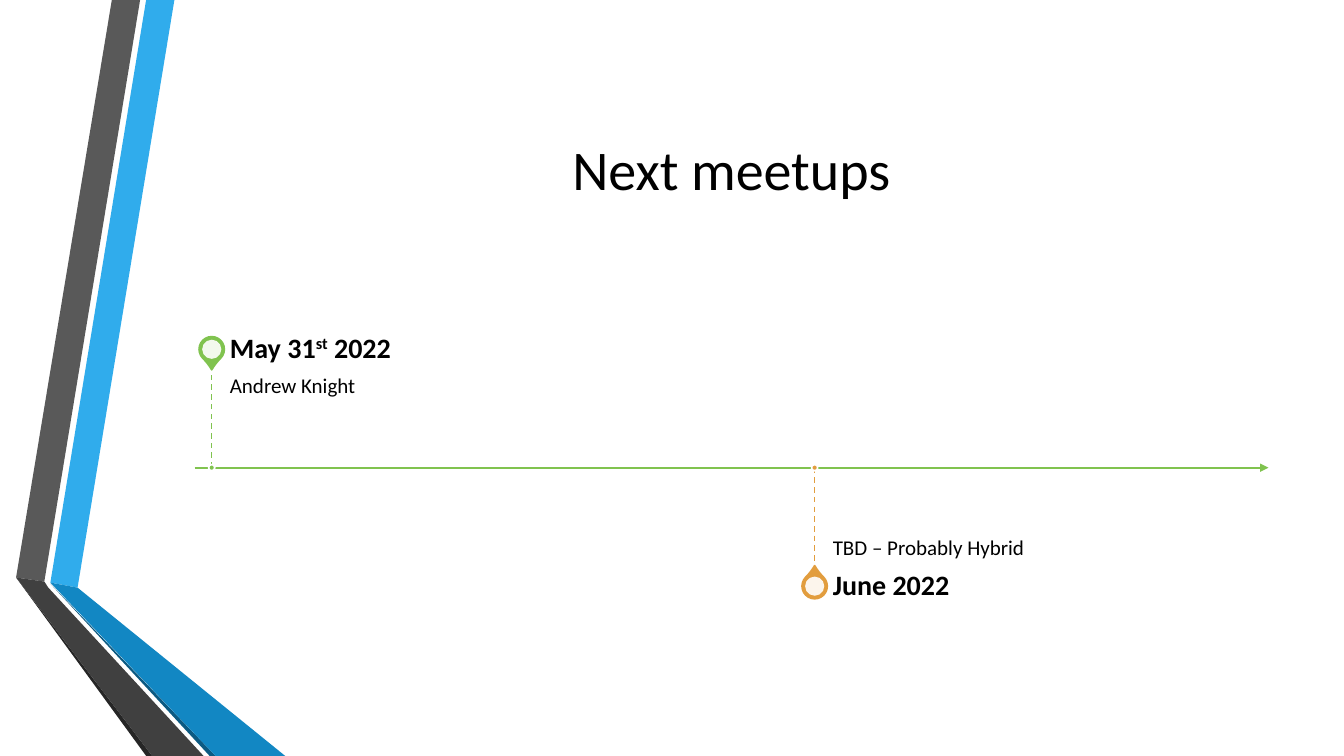
from lxml import etree
from pptx import Presentation, util as u
from pptx.dml.color import RGBColor
from pptx.enum import dml, shapes, text
from pptx.oxml.ns import qn

COLORS = {
    "black": "000000", "white": "FFFFFF", "green": "80C34F", "orange": "E29D3E",
    "sky": "30ACEC", "blue": "1287C3", "navy": "0C5A82",
    "gray": "595959", "charcoal": "404040", "soot": "262626",
}
RGB = {name: RGBColor.from_string(value) for name, value in COLORS.items()}

deck = Presentation()
deck.slide_width, deck.slide_height = u.Inches(13.33), u.Inches(7.5)
slide = deck.slides.add_slide(deck.slide_layouts[6])
parts = slide.shapes

# Grid: one axis row, stems one row high, date labels of fixed height
LEFT, RIGHT, AXIS = 1.93, 12.58, 4.64
STEM, DATE_H, LABEL_W, LABEL_GAP = 1, 0.35, 3.87, 0.18
BOTTOM = 7.5


def add_label(box, runs, insets, anchor, **font):
    label = parts.add_textbox(*map(u.Inches, box))
    frame = label.text_frame
    frame.word_wrap = True
    frame.vertical_anchor = anchor
    for side, inset in zip(("left", "top", "right", "bottom"), insets):
        setattr(frame, f"margin_{side}", u.Inches(inset))
    paragraph = frame.paragraphs[0]
    paragraph.line_spacing = 0.9
    for words, baseline in runs:
        run = paragraph.add_run()
        run.text = words
        run.font.color.rgb = RGB["black"]
        for key, value in {"name": "Calibri", **font}.items():
            setattr(run.font, key, value)
        if baseline:
            run.font._element.set("baseline", str(baseline))
    return paragraph


def add_line(x1, y1, x2, y2, color, width):
    line = parts.add_connector(shapes.MSO_CONNECTOR.STRAIGHT,
                               *map(u.Inches, (x1, y1, x2, y2)))
    line.line.color.rgb = RGB[color]
    line.line.width = u.Pt(width)
    etree.SubElement(line._element.spPr, qn("a:effectLst"))
    return line


# Folded ribbons along the left edge
ribbons = [
    ("sky", [(0.5, 5.78), (0.77, 5.83), (1.73, 0), (1.45, 0)]),
    ("gray", [(1.39, 0), (1.11, 0), (0.16, 5.73), (0.44, 5.77)]),
    ("soot", [(0.16, 5.73), (1.45, BOTTOM), (1.51, BOTTOM)]),
    ("navy", [(0.5, 5.79), (2.08, BOTTOM), (2.14, BOTTOM)]),
    ("blue", [(0.5, 5.78), (2.14, BOTTOM), (2.83, BOTTOM), (0.77, 5.83)]),
    ("charcoal", [(2.02, BOTTOM), (0.48, 5.83), (0.44, 5.77), (0.16, 5.73),
                  (1.51, BOTTOM)]),
]
for color, corners in ribbons:
    start, *rest = [(u.Inches(x), u.Inches(y)) for x, y in corners]
    outline = parts.build_freeform(*start)
    outline.add_line_segments(rest, close=True)
    ribbon = outline.convert_to_shape()
    ribbon.shadow.inherit = False
    ribbon.fill.solid()
    ribbon.fill.fore_color.rgb = RGB[color]
    ribbon.line.fill.background()

# Title
title = add_label((LEFT, 0.75, RIGHT - LEFT, 1.92), [("Next meetups", 0)],
                  (0.1, 0.05, 0.1, 0.05), text.MSO_ANCHOR.MIDDLE, size=u.Pt(40))
title.alignment = text.PP_ALIGN.CENTER

# Time axis
axis = add_line(LEFT, AXIS, RIGHT, AXIS, "green", 1.5)
etree.SubElement(axis.line._get_or_add_ln(), qn("a:tailEnd"), type="triangle")

# Meetups: column, side of the axis (-1 above, 1 below), color, date, details
meetups = [
    (2.1, -1, "green", [("May 31", 0), ("st", 30000), (" 2022", 0)], "Andrew Knight"),
    (8.08, 1, "orange", [("June 2022", 0)], "TBD – Probably Hybrid"),
]
for x, side, color, date, details in meetups:
    above = side < 0
    pin_y = AXIS + side * (STEM + DATE_H / 2)

    # Labels
    label_x = x + LABEL_GAP
    add_label((label_x, AXIS - STEM if above else AXIS, LABEL_W, STEM), [(details, 0)],
              (0, 0.1, 0, 0.16) if above else (0, 0.16, 0.1, 0.1),
              text.MSO_ANCHOR.TOP if above else text.MSO_ANCHOR.BOTTOM, size=u.Pt(15))
    add_label((label_x, pin_y - DATE_H / 2, LABEL_W, DATE_H), date, (0, 0, 0.14, 0),
              text.MSO_ANCHOR.MIDDLE, size=u.Pt(20), bold=True)

    # Stem from the axis to the pin
    stem = add_line(x, AXIS, x, AXIS + side * STEM, color, 1)
    stem.line.dash_style = dml.MSO_LINE.DASH

    # Pin, its pale center and the dot on the axis
    markers = [
        (shapes.MSO_SHAPE.TEAR, pin_y, 0.25, color, color),
        (shapes.MSO_SHAPE.OVAL, pin_y, 0.19, "white", None),
        (shapes.MSO_SHAPE.OVAL, AXIS, 0.06, color, "white"),
    ]
    for kind, y, size, fill, border in markers:
        marker = parts.add_shape(kind, *map(u.Inches, (x - size / 2, y - size / 2, size, size)))
        marker.shadow.inherit = False
        marker.fill.solid()
        marker.fill.fore_color.rgb = RGB[fill]
        if border:
            marker.line.color.rgb = RGB[border]
            marker.line.width = u.Pt(1.25)
        else:
            marker.line.fill.background()
            tint = marker._element.spPr.find(f"{qn('a:solidFill')}/{qn('a:srgbClr')}")
            etree.SubElement(tint, qn("a:alpha"), val="90000")
        if kind == shapes.MSO_SHAPE.TEAR:
            marker.adjustments[0] = 1.15
            marker.rotation = 135 if above else 315

deck.save("out.pptx")
